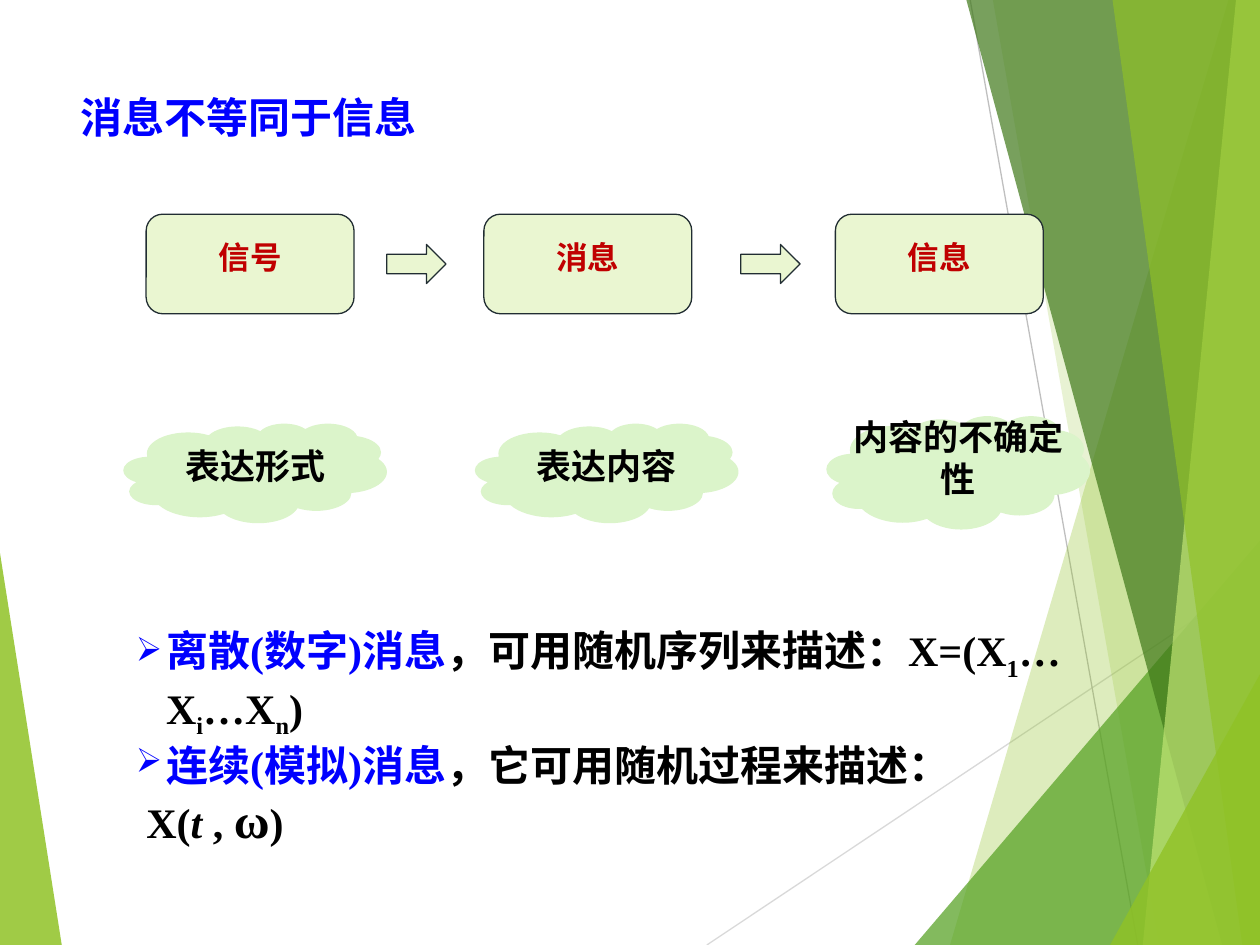
from dataclasses import dataclass

from lxml import etree
from pptx import Presentation
from pptx.dml.color import RGBColor
from pptx.enum.shapes import MSO_CONNECTOR, MSO_SHAPE
from pptx.enum.text import MSO_ANCHOR, PP_ALIGN
from pptx.oxml.ns import qn
from pptx.util import Inches, Pt

ROUNDED, ARROW, CLOUD = MSO_SHAPE.ROUNDED_RECTANGLE, MSO_SHAPE.RIGHT_ARROW, MSO_SHAPE.CLOUD
STRAIGHT = MSO_CONNECTOR.STRAIGHT
TOP, LEFT, CENTER = MSO_ANCHOR.TOP, PP_ALIGN.LEFT, PP_ALIGN.CENTER


@dataclass(frozen=True)
class Theme:
    heading_font: str = "Lato"
    body_font: str = "Times New Roman"
    blue: str = "0000FF"
    red: str = "C00000"
    black: str = "000000"
    box: str = "EAF6D1"
    outline: str = "212D32"
    cloud: str = "DBF4CA"
    lime: str = "90C226"
    green: str = "54A021"
    forest: str = "3F7819"
    pale: str = "C0E474"
    ray_light: str = "D9D9D9"
    ray_dark: str = "BFBFBF"
    title_size: int = 24
    box_size: int = 18
    cloud_size: int = 20
    body_size: int = 24
    omega_size: int = 28


T = Theme()

RAYS = [((5.61, 7.5), (10, 4.57), T.ray_light), ((7.7, 0), (9.03, 7.5), T.ray_dark)]
LEFT_FACET = ([(0, 4.39), (0.49, 7.5), (0, 7.5)], T.lime, 85)
RIGHT_FACETS = [
    ([(9.75, 0), (7.54, 7.5), (10, 7.5), (10, 0)], T.lime, 30),
    ([(7.88, 0), (9.2, 7.5), (10, 7.5), (10, 0)], T.lime, 20),
    ([(7.26, 7.5), (10, 4.29), (10, 7.5)], T.green, 72),
    ([(7.67, 0), (9.7, 7.5), (10, 7.5), (10, 0)], T.forest, 70),
    ([(9.81, 0), (9.07, 7.5), (10, 7.5), (10, 0)], T.pale, 70),
    ([(8.83, 0), (9.86, 7.5), (10, 7.5), (10, 0)], T.lime, 65),
    ([(8.81, 7.5), (10, 5.35), (10, 7.5)], T.lime, 80),
]


def rgb(color):
    return RGBColor.from_string(color)


def place(box):
    return [Inches(v) for v in box]


def add_facet(s, points, color, opacity):
    (x0, y0), *rest = [tuple(place(pt)) for pt in points]
    fb = s.shapes.build_freeform(x0, y0)
    fb.add_line_segments(rest)
    sp = fb.convert_to_shape()
    sp.shadow.inherit = False
    sp.line.fill.background()
    sp.fill.solid()
    sp.fill.fore_color.rgb = rgb(color)
    clr = sp.fill._xPr.find(qn("a:solidFill"))[0]
    etree.SubElement(clr, qn("a:alpha"), val=str(opacity * 1000))


def add_ray(s, start, end, color):
    cx = s.shapes.add_connector(STRAIGHT, *place(start), *place(end))
    cx.line.color.rgb = rgb(color)
    cx.line.width = Pt(0.75)
    etree.SubElement(cx._element.spPr, qn("a:effectLst"))


def add_preset(s, kind, box, fill, line=None):
    sp = s.shapes.add_shape(kind, *place(box))
    sp.shadow.inherit = False
    sp.fill.solid()
    sp.fill.fore_color.rgb = rgb(fill)
    if line:
        sp.line.color.rgb = rgb(line)
        sp.line.width = Pt(0.75)
    else:
        sp.line.fill.background()
    return sp


def set_frame(tf, top):
    tf.word_wrap = True
    tf.vertical_anchor = TOP
    tf.margin_left = tf.margin_right = Inches(0.1)
    tf.margin_top, tf.margin_bottom = Inches(top), Inches(0.05)


def add_run(p, text, font, size, color, italic=False, subscript=False):
    r = p.add_run()
    r.text = text
    r.font.name, r.font.size = font, Pt(size)
    r.font.bold = True
    r.font.color.rgb = rgb(color)
    if italic:
        r.font.italic = True
    if subscript:
        r.font._element.set("baseline", "-25000")


def write_label(sp, text, size, color, spacing=1.0, align=CENTER, top=0):
    set_frame(sp.text_frame, top)
    p = sp.text_frame.paragraphs[0]
    p.alignment, p.line_spacing = align, spacing
    add_run(p, text, T.heading_font, size, color)


def add_bullet(p):
    pPr = p._p.get_or_add_pPr()
    pPr.set("marL", str(Inches(0.24)))
    pPr.set("indent", str(-Inches(0.24)))
    clr = etree.SubElement(pPr, qn("a:buClr"))
    etree.SubElement(clr, qn("a:srgbClr"), val=T.blue)
    etree.SubElement(pPr, qn("a:buSzPct"), val="80000")
    etree.SubElement(pPr, qn("a:buChar"), char="➢")


def add_backdrop(s):
    add_facet(s, *LEFT_FACET)
    for ray in RAYS:
        add_ray(s, *ray)
    for facet in RIGHT_FACETS:
        add_facet(s, *facet)


def add_chain(s):
    for x, text in [(1.16, "信号"), (3.84, "消息"), (6.63, "信息")]:
        sp = add_preset(s, ROUNDED, (x, 1.7, 1.65, 0.79), T.box, T.outline)
        write_label(sp, text, T.box_size, T.red, spacing=1.5)
    for x in (3.07, 5.88):
        add_preset(s, ARROW, (x, 1.94, 0.47, 0.31), T.box, T.outline)


def add_clouds(s):
    """Labels use the full cloud width, which is wider than the preset's own text area."""
    clouds = [("表达形式", 3.36, 0.79, 1.5), ("表达内容", 3.36, 0.79, 1.5),
              ("内容的不确定性", 3.3, 0.9, 1.0)]
    for i, (text, y, h, spacing) in enumerate(clouds):
        box = (0.98 + 2.79 * i, y, 2.09, h)
        add_preset(s, CLOUD, box, T.cloud)
        label = s.shapes.add_textbox(*place(box))
        write_label(label, text, T.cloud_size, T.black, spacing)


def add_descriptions(s):
    tf = s.shapes.add_textbox(*place((0.98, 4.91, 8.11, 1.88))).text_frame
    set_frame(tf, 0.05)

    def write(p, text, color=T.black, size=T.body_size, **style):
        add_run(p, text, T.body_font, size, color, **style)

    p = tf.paragraphs[0]
    add_bullet(p)
    write(p, "离散(数字)消息", T.blue)
    write(p, "，可用随机序列来描述：X=(X")
    for sub, after in [("1", "…X"), ("i", "…X"), ("n", ")")]:
        write(p, sub, subscript=True)
        write(p, after)

    p = tf.add_paragraph()
    add_bullet(p)
    write(p, "连续(模拟)消息", T.blue)
    write(p, "，它可用随机过程来描述：")

    p = tf.add_paragraph()
    write(p, " X(")
    write(p, "t", italic=True)
    write(p, " , ")
    write(p, "ω", size=T.omega_size)
    write(p, ")")


def main():
    prs = Presentation()
    prs.slide_width, prs.slide_height = Inches(10), Inches(7.5)
    s = prs.slides.add_slide(prs.slide_layouts[6])
    add_backdrop(s)
    title = s.shapes.add_textbox(*place((0.54, 0.68, 9, 0.63)))
    write_label(title, "消息不等同于信息", T.title_size, T.blue, align=LEFT, top=0.05)
    add_chain(s)
    add_clouds(s)
    add_descriptions(s)
    prs.save("out.pptx")


if __name__ == "__main__":
    main()
